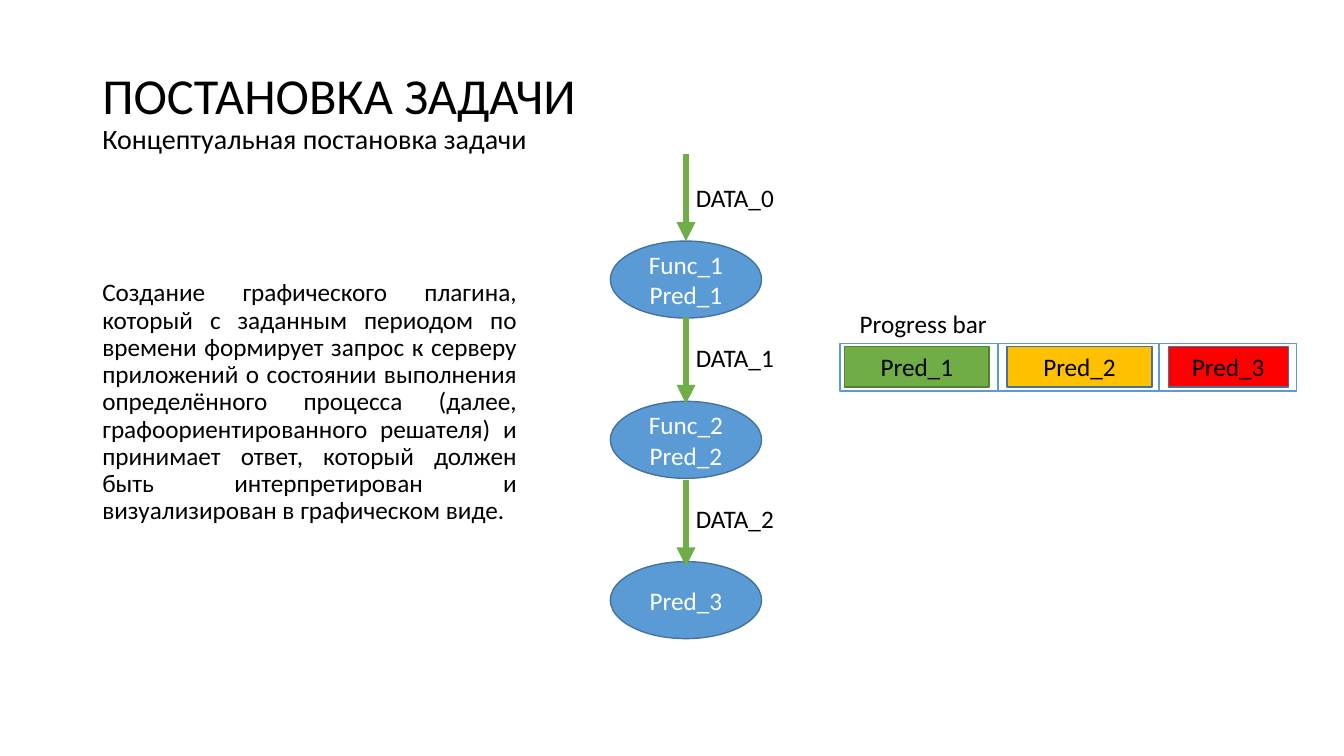
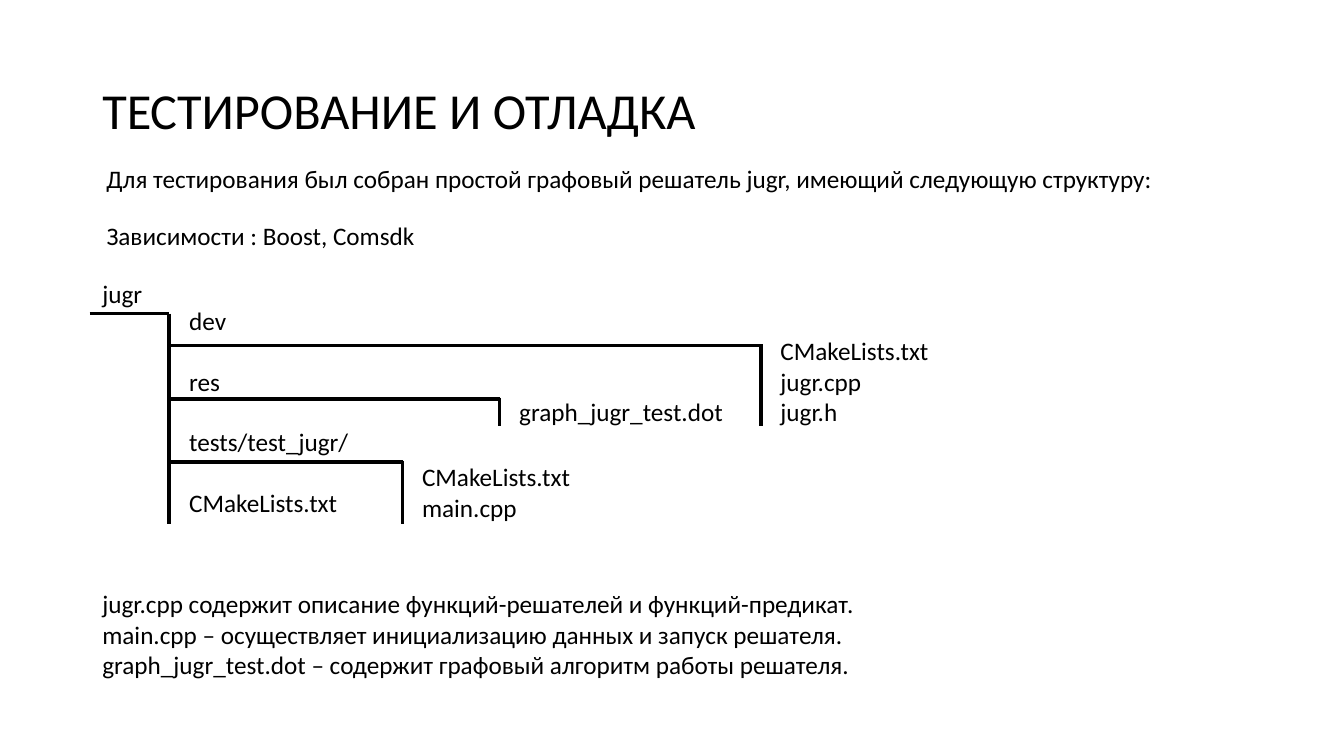
from lxml import etree
from pptx import Presentation
from pptx import util as u
from pptx.dml import color
from pptx.enum import shapes, text
from pptx.oxml import ns

FONT = "Calibri"
BLACK, WHITE = "000000", "FFFFFF"
BLUE, DARK_BLUE = "5B9BD5", "43739E"
GREEN, DARK_GREEN = "70AD47", "538035"
AMBER, RED = "FFC000", "FF0000"
BODY_SIZE = 18
LINE_HEIGHT = 21.6
TITLE_BOX = (66, 28.8, 828, 104.4)
ALIGN = text.PP_ALIGN
ANCHOR = text.MSO_ANCHOR


def rgb(value):
    return color.RGBColor.from_string(value)


def points(*values):
    return [u.Pt(value) for value in values]


def add_run(paragraph, words, size=BODY_SIZE, colour=BLACK):
    run = paragraph.add_run()
    run.text = words
    run.font.size = u.Pt(size)
    run.font.name = FONT
    run.font.color.rgb = rgb(colour)


def fill_frame(shape, lines, colour=BLACK, align=ALIGN.LEFT,
               anchor=ANCHOR.TOP, gap=0, spacing=None):
    frame = shape.text_frame
    frame.word_wrap = True
    frame.vertical_anchor = anchor
    for index, line in enumerate(lines):
        paragraph = frame.add_paragraph() if index else frame.paragraphs[0]
        paragraph.alignment = align
        paragraph.line_spacing = spacing
        if index and gap:
            paragraph.space_before = u.Pt(gap)
        add_run(paragraph, line, colour=colour)


def add_text(slide, box, lines, **style):
    shape = slide.shapes.add_textbox(*points(*box))
    fill_frame(shape, lines, **style)


def add_panel(slide, kind, box, fill, outline):
    shape = slide.shapes.add_shape(kind, *points(*box))
    shape.shadow.inherit = False
    if fill:
        shape.fill.solid()
        shape.fill.fore_color.rgb = rgb(fill)
    else:
        shape.fill.background()
    shape.line.color.rgb = rgb(outline)
    shape.line.width = u.Pt(1)
    return shape


def add_line(slide, start, end, colour=BLACK, width=2.25, arrow=False):
    line = slide.shapes.add_connector(
        shapes.MSO_CONNECTOR.STRAIGHT, *points(*start, *end))
    line.line.color.rgb = rgb(colour)
    line.line.width = u.Pt(width)
    if arrow:
        etree.SubElement(line.line._get_or_add_ln(), ns.qn("a:tailEnd"), type="triangle")
    etree.SubElement(line._element.spPr, ns.qn("a:effectLst"))


def add_title(slide, title, subtitle=None):
    shape = slide.shapes.add_textbox(*points(*TITLE_BOX))
    frame = shape.text_frame
    frame.word_wrap = True
    frame.vertical_anchor = ANCHOR.MIDDLE
    paragraph = frame.paragraphs[0]
    paragraph.line_spacing = 0.9
    add_run(paragraph, title, 36)
    if subtitle:
        paragraph.add_line_break()
        add_run(paragraph, subtitle, 20)


def add_flow(slide, box, steps):
    left, top, width, height = box
    centre = left + width / 2
    node_height, node_pitch, arrow_length, arrow_pitch = 55, 114.5, 62, 116.2
    for index, (data, labels) in enumerate(steps):
        node_top = top + arrow_length + index * node_pitch
        node = add_panel(slide, shapes.MSO_SHAPE.OVAL,
                         (left, node_top, width, node_height), BLUE, DARK_BLUE)
        fill_frame(node, labels, WHITE, ALIGN.CENTER, ANCHOR.MIDDLE)
        add_text(slide, (centre, top + 16.5 + index * node_pitch, 80, 29), [data])
    for index in range(len(steps)):
        start = top + index * arrow_pitch
        add_line(slide, (centre, start), (centre, start + arrow_length),
                 GREEN, 4.5, arrow=True)


def add_progress_bar(slide, box, segments):
    left, top, width, height = box
    add_text(slide, (left + 7, top - 29, 120, 29), ["Progress bar"])
    add_panel(slide, shapes.MSO_SHAPE.RECTANGLE, box, None, BLUE)
    add_panel(slide, shapes.MSO_SHAPE.RECTANGLE, (left + 113, top, 115, height), None, BLUE)
    for label, offset, segment_width, fill, outline in segments:
        segment = add_panel(slide, shapes.MSO_SHAPE.RECTANGLE,
                            (left + offset, top + 2.2, segment_width, height - 5),
                            fill, outline)
        fill_frame(segment, [label], align=ALIGN.CENTER, anchor=ANCHOR.MIDDLE)


def add_branch(slide, start, corner, bottom, files, files_top):
    left, top = start
    add_line(slide, (left, top), (corner, top))
    add_line(slide, (corner, top - 1), (corner, bottom))
    add_text(slide, (corner + 6.8, files_top, 172, 7.2 + LINE_HEIGHT * len(files)), files)


def add_tree(slide, box, root, entries, branches):
    left, top, width, height = box
    trunk = left + 57
    add_text(slide, (left + 2, top - 29, 60, 29), [root])
    add_line(slide, (left, top), (trunk, top))
    add_line(slide, (trunk, top), (trunk, top + height), width=3)
    add_text(slide, (trunk + 7, top - 10, width - 64, 160), entries,
             anchor=ANCHOR.MIDDLE, gap=LINE_HEIGHT)
    for drop, corner, depth, files, files_drop in branches:
        add_branch(slide, (trunk, top + drop), left + corner, top + depth,
                   files, top + files_drop)


def build_task_slide(slide):
    add_title(slide, "ПОСТАНОВКА ЗАДАЧИ", "Концептуальная постановка задачи")
    add_text(slide, (66, 196.6, 310.3, 206.6), [
        "Создание графического плагина, который с заданным периодом по времени "
        "формирует запрос к серверу приложений о состоянии выполнения определённого "
        "процесса (далее, графоориентированного решателя) и принимает ответ, который "
        "должен быть интерпретирован и визуализирован в графическом виде."],
        align=ALIGN.JUSTIFY, spacing=0.9)
    add_flow(slide, (436, 110.2, 108, 346), [
        ("DATA_0", ["Func_1", "Pred_1"]),
        ("DATA_1", ["Func_2", "Pred_2"]),
        ("DATA_2", ["Pred_3"])])
    add_progress_bar(slide, (600, 245.5, 326, 33.8), [
        ("Pred_1", 3.4, 103, GREEN, DARK_GREEN),
        ("Pred_2", 119.3, 103.7, AMBER, DARK_BLUE),
        ("Pred_3", 234.5, 85.7, RED, DARK_BLUE)])


def build_testing_slide(slide):
    add_title(slide, "ТЕСТИРОВАНИЕ И ОТЛАДКА")
    add_text(slide, (69, 113, 775, 29), [
        "Для тестирования был собран простой графовый решатель jugr, "
        "имеющий следующую структуру:"])
    add_text(slide, (69, 154, 250, 29), ["Зависимости : Boost, Comsdk"])
    add_tree(slide, (64, 224, 536, 150), "jugr",
             ["dev", "res", "tests/test_jugr/", "CMakeLists.txt"], [
        (23, 479.6, 80, ["CMakeLists.txt", "jugr.cpp", "jugr.h"], 12.2),
        (61, 293, 80, ["graph_jugr_test.dot"], 55.4),
        (106, 223.6, 150, ["CMakeLists.txt", "main.cpp"], 102.2)])
    add_text(slide, (66, 417, 580, 73), [
        "jugr.cpp содержит описание функций-решателей и функций-предикат.",
        "main.cpp – осуществляет инициализацию данных и запуск решателя.",
        "graph_jugr_test.dot – содержит графовый алгоритм работы решателя."])


presentation = Presentation()
presentation.slide_width, presentation.slide_height = points(960, 540)
for build in (build_task_slide, build_testing_slide):
    build(presentation.slides.add_slide(presentation.slide_layouts[6]))
presentation.save("out.pptx")
